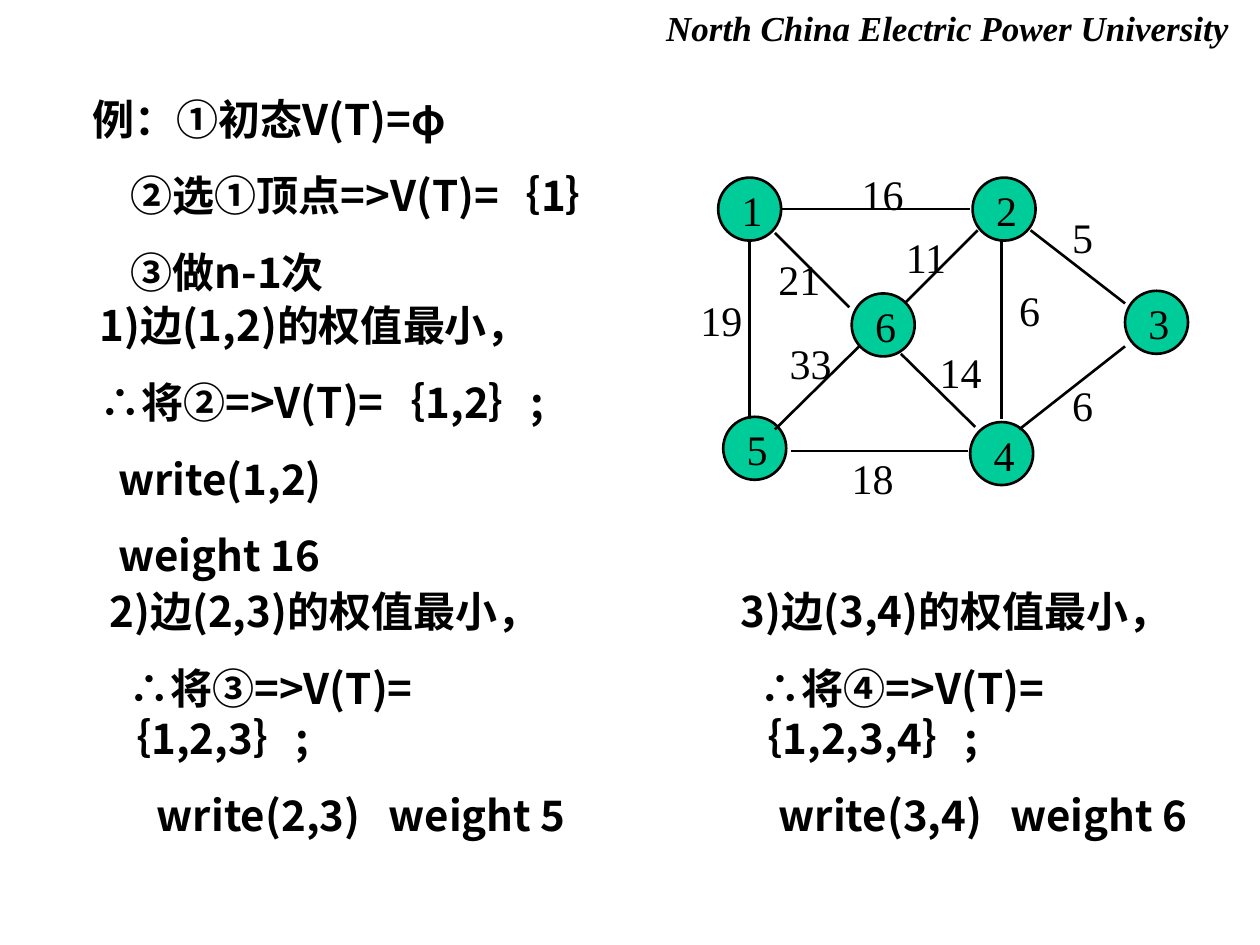
from lxml.etree import SubElement
from pptx import Presentation
from pptx.dml.color import RGBColor
from pptx.enum.shapes import MSO_CONNECTOR, MSO_SHAPE
from pptx.enum.text import MSO_AUTO_SIZE
from pptx.oxml.ns import qn
from pptx.util import Pt

SERIF = "Times New Roman"
SANS = "Noto Sans CJK SC"
BLACK = "000000"
GREEN = "00CC99"
STEP_MARGIN = 72
NODE_SIZE = 36


def color(hex_string):
    return RGBColor.from_string(hex_string)


def add_frame(slide, left, top, width, height, wrap):
    frame = slide.shapes.add_textbox(Pt(left), Pt(top), Pt(width), Pt(height)).text_frame
    frame.word_wrap = wrap
    frame.auto_size = MSO_AUTO_SIZE.SHAPE_TO_FIT_TEXT
    return frame


def add_run(paragraph, text, font_name, size, bold=False, italic=False):
    run = paragraph.add_run()
    run.text = text
    font = run.font
    font.name, font.size = font_name, Pt(size)
    font.bold, font.italic = bold, italic
    font.color.rgb = color(BLACK)
    SubElement(run._r.get_or_add_rPr(), qn("a:ea"), typeface=font_name)
    return run


def add_header(slide, left, top, width, height):
    frame = add_frame(slide, left, top, width, height, False)
    add_run(frame.paragraphs[0], "North China Electric Power University", SERIF, 20, True, True)


def add_steps(slide, left, top, width, height, steps):
    frame = add_frame(slide, left, top, width, height, True)
    for index, (indent, *phrases) in enumerate(steps):
        paragraph = frame.paragraphs[0] if index == 0 else frame.add_paragraph()
        properties = paragraph._p.get_or_add_pPr()
        properties.set("marL", str(Pt(STEP_MARGIN)))
        properties.set("indent", str(Pt(indent)))
        if index:
            paragraph.space_before = Pt(15)
        for position, phrase in enumerate(phrases):
            if position:
                gap = add_run(paragraph, " ", SANS, 24, True)
                gap._r.get_or_add_rPr().set("spc", "1080")
            add_run(paragraph, phrase, SANS, 24, True)


def add_number(slide, left, top, number):
    width = 14.4 + 12 * len(number)
    frame = add_frame(slide, left, top, width, NODE_SIZE, False)
    add_run(frame.paragraphs[0], number, SERIF, 24)


def add_node(slide, left, top, number):
    node = slide.shapes.add_shape(
        MSO_SHAPE.OVAL, Pt(left), Pt(top), Pt(NODE_SIZE), Pt(NODE_SIZE))
    node.shadow.inherit = False
    node.fill.solid()
    node.fill.fore_color.rgb = color(GREEN)
    node.line.color.rgb = color(BLACK)
    node.line.width = Pt(1.5)
    add_number(slide, left + 6.3, top + 0.5, number)


def add_edge(slide, x1, y1, x2, y2):
    edge = slide.shapes.add_connector(
        MSO_CONNECTOR.STRAIGHT, Pt(x1), Pt(y1), Pt(x2), Pt(y2))
    edge.line.color.rgb = color(BLACK)
    edge.line.width = Pt(1.5)
    SubElement(edge._element.spPr, qn("a:effectLst"))


def add_graph(slide, left, top):
    nodes = {"1": (17.3, 8.5), "2": (162.7, 8.5), "4": (161.3, 148.2),
             "6": (93.6, 74.7), "5": (20.2, 145.2), "3": (249.8, 73.2)}
    edges = [
        (195.8, 38.6, 249.8, 80.4), (189.3, 152.4, 249.8, 104.9),
        (35.3, 44.5, 35.3, 146.7), (53.3, 26.5, 161.3, 26.5),
        (179.3, 44.5, 179.3, 146.7), (59, 164.7, 159.8, 164.7),
        (49.7, 40.1, 92.2, 82.6), (165.6, 38.6, 123.8, 80.4),
        (121.7, 109.2, 164.2, 151), (97.9, 104.9, 49.7, 152.4)]
    weights = [
        ("16", 92.2, 0), ("5", 212.4, 24.5), ("6", 212.4, 120.2),
        ("18", 86.4, 162), ("19", 0, 72), ("21", 44.6, 48.2),
        ("11", 117.4, 36), ("14", 136.8, 101.5), ("33", 51.1, 96.5),
        ("6", 182.2, 66.2)]
    for number, (x, y) in nodes.items():
        add_node(slide, left + x, top + y, number)
    for x1, y1, x2, y2 in edges:
        add_edge(slide, left + x1, top + y1, left + x2, top + y2)
    for weight, x, y in weights:
        add_number(slide, left + x, top + y, weight)


def main():
    presentation = Presentation()
    presentation.slide_width, presentation.slide_height = Pt(720), Pt(540)
    slide = presentation.slides.add_slide(presentation.slide_layouts[6])
    add_header(slide, 373.6, 0, 336.2, 31.7)
    add_steps(slide, -26, 49.7, 540, 124, [
        (0, "例：①初态V(T)=φ"),
        (21.6, "②选①顶点=>V(T)=｛1｝"),
        (21.6, "③做n-1次")])
    add_steps(slide, -22.3, 167.8, 456, 168, [
        (0, "1)边(1,2)的权值最小，"),
        (0, "∴将②=>V(T)=｛1,2｝;"),
        (10.8, "write(1,2)"),
        (10.8, "weight 16")])
    add_graph(slide, 393.1, 93)
    add_steps(slide, -16.5, 331.2, 360, 181.4, [
        (0, "2)边(2,3)的权值最小，"),
        (10.8, "∴将③=>V(T)=｛1,2,3｝;"),
        (27, "write(2,3)", "weight 5")])
    add_steps(slide, 344.2, 331.2, 360, 181.4, [
        (0, "3)边(3,4)的权值最小，"),
        (10.8, "∴将④=>V(T)=｛1,2,3,4｝;"),
        (21.6, "write(3,4)", "weight 6")])
    presentation.save("out.pptx")


if __name__ == "__main__":
    main()
